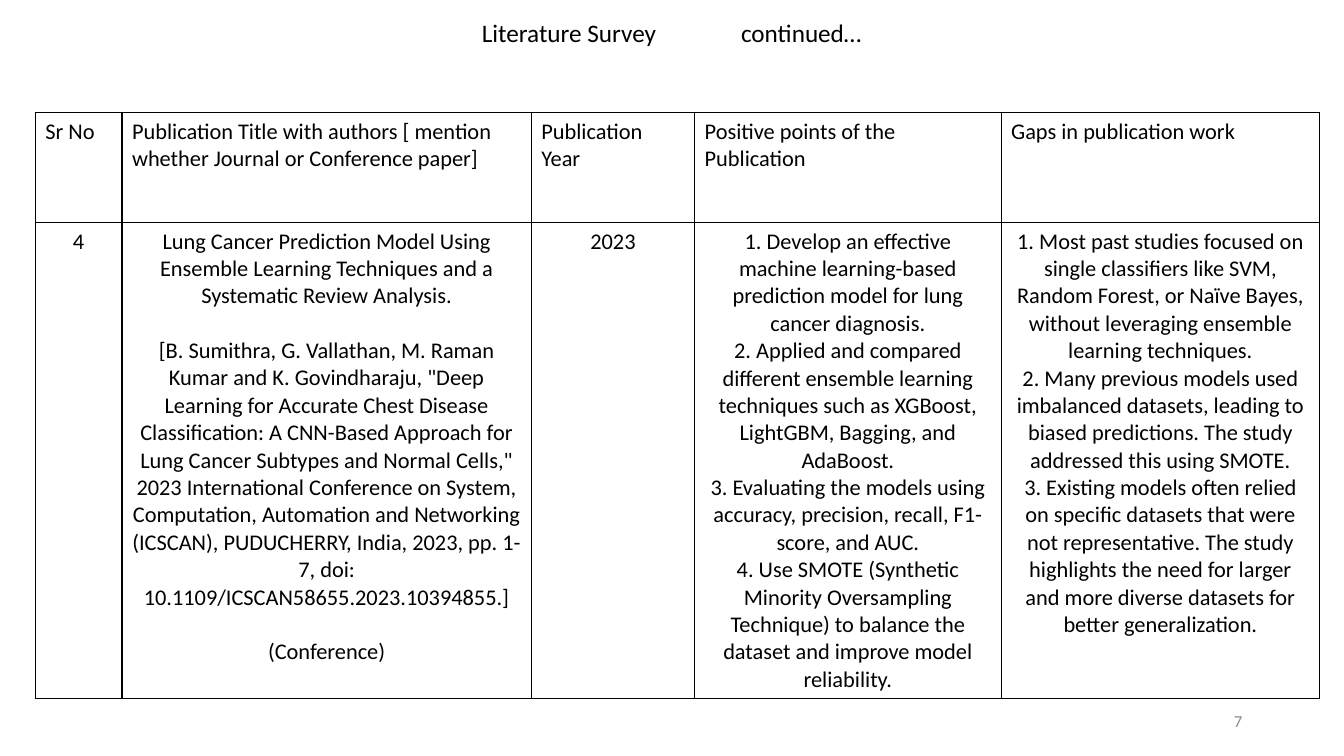
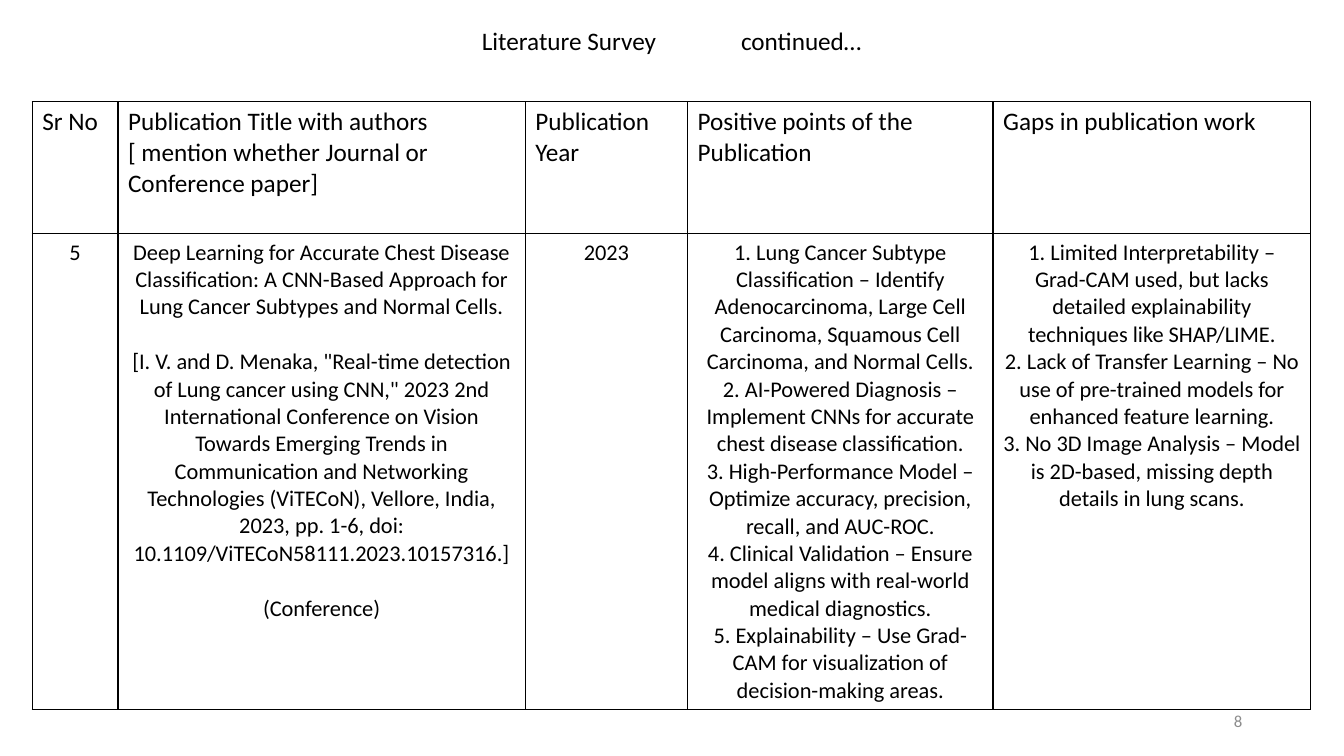
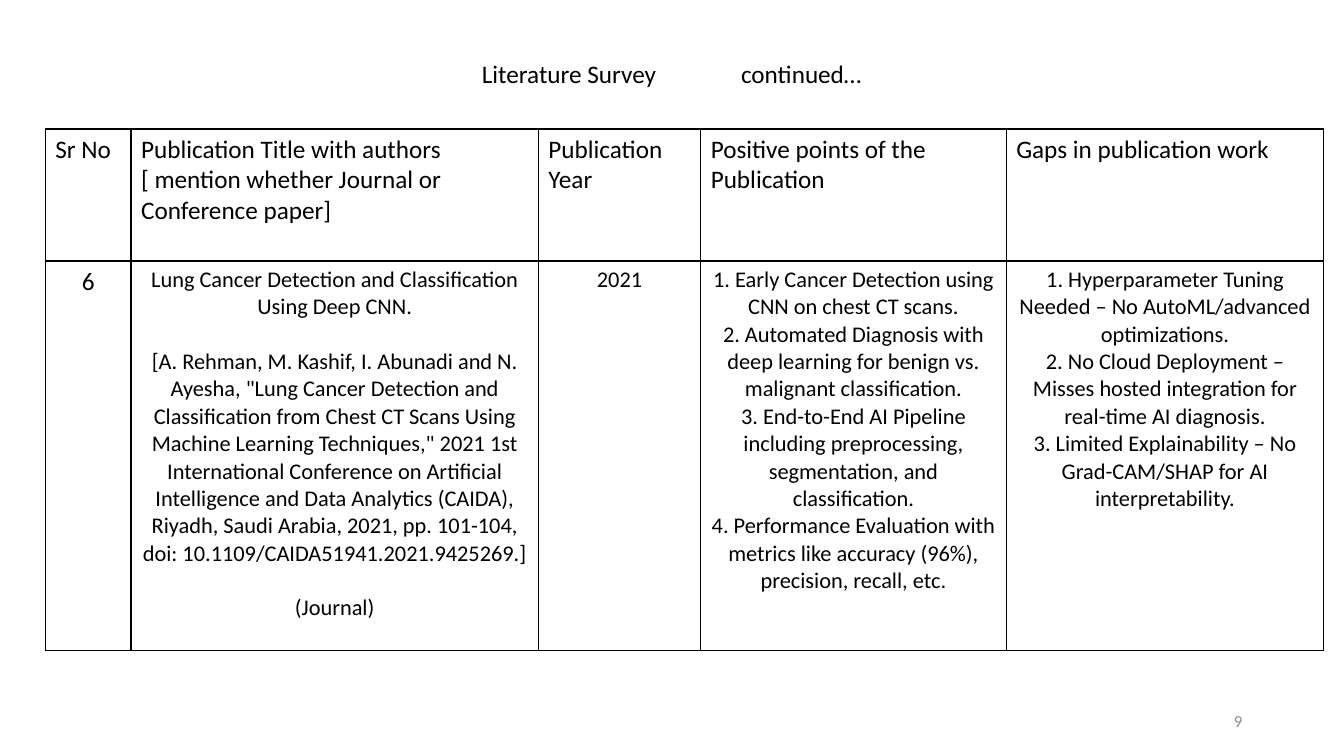
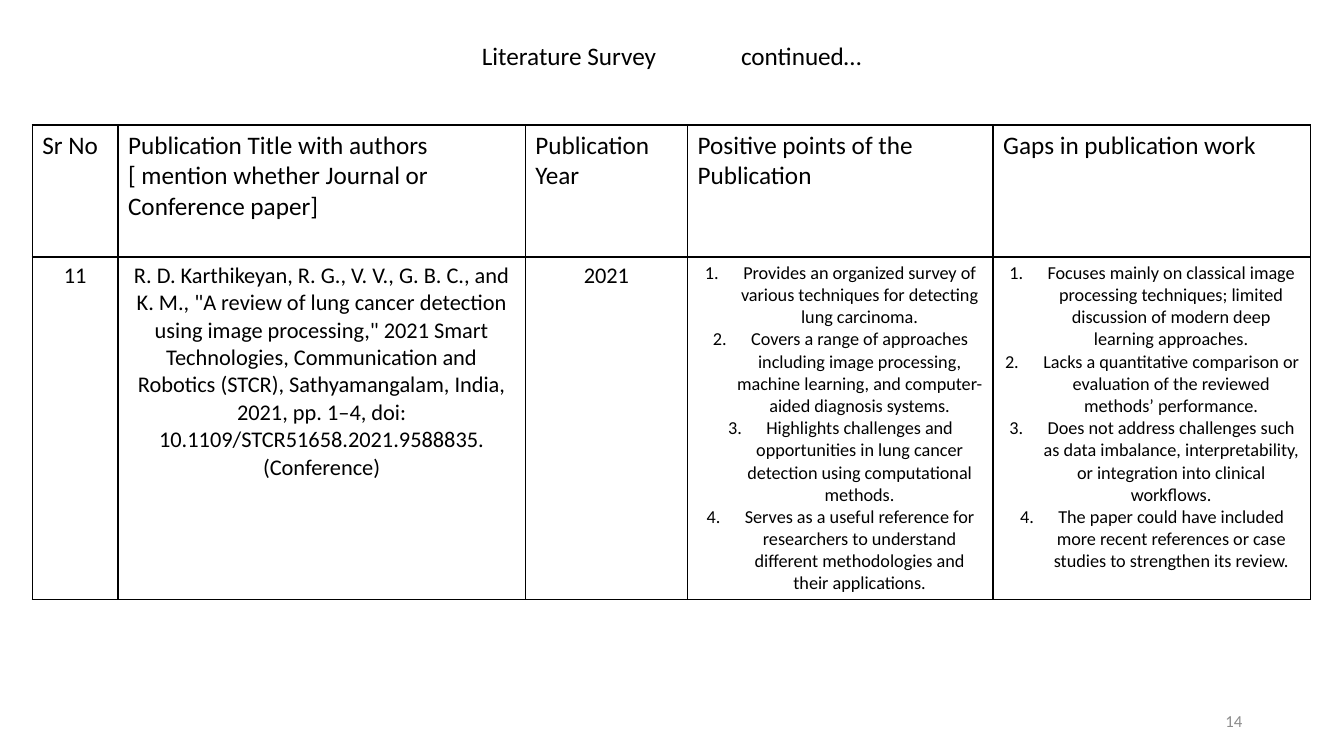
import dataclasses

import lxml.etree
import pptx
import pptx.dml.color
import pptx.enum.text
import pptx.oxml.ns
import pptx.presentation
import pptx.slide
import pptx.table
import pptx.text.text
import pptx.util

EMU_PER_PX = 9144
ALIGN = pptx.enum.text.PP_ALIGN
ANCHOR = pptx.enum.text.MSO_ANCHOR


@dataclasses.dataclass(frozen=True)
class Theme:
    font: str = "Calibri"
    ink: str = "000000"
    muted: str = "8C8C8C"
    title_size: int = 18
    body_size: int = 16
    list_size: int = 13
    number_size: int = 12
    blank_line: float = 19.5
    title_spacing: float = 0.9
    border_width: int = 1


@dataclasses.dataclass(frozen=True)
class Frame:
    left: int
    top: int
    width: int
    height: int


@dataclasses.dataclass(frozen=True)
class Layout:
    title_top: int
    table_left: int
    table_top: int
    rows: tuple[int, int]
    columns: tuple[int, ...] = (85, 404, 161, 303, 315)
    header_size: int = 18
    serial_size: int = 16
    list_size: int = 16
    hanging_numbers: bool = False
    gap_in_citation: bool = True


@dataclasses.dataclass(frozen=True)
class Survey:
    page_number: int
    serial: int
    citation: tuple[str, ...]
    year: int
    positives: tuple[str, ...]
    gaps: tuple[str, ...]
    layout: Layout


THEME = Theme()
HEADERS = (
    "Sr No",
    "Publication Title with authors [ mention whether Journal or Conference paper]",
    "Publication Year",
    "Positive points of the Publication",
    "Gaps in publication work",
)
SURVEYS = (
    Survey(
        page_number=7,
        serial=4,
        citation=(
            "Lung Cancer Prediction Model Using Ensemble Learning Techniques and a "
            "Systematic Review Analysis.",
            '[B. Sumithra, G. Vallathan, M. Raman Kumar and K. Govindharaju, "Deep Learning '
            "for Accurate Chest Disease Classification: A CNN-Based Approach for Lung Cancer "
            'Subtypes and Normal Cells," 2023 International Conference on System, '
            "Computation, Automation and Networking (ICSCAN), PUDUCHERRY, India, 2023, "
            "pp. 1-7, doi: 10.1109/ICSCAN58655.2023.10394855.]",
            "(Conference)",
        ),
        year=2023,
        positives=(
            "Develop an effective machine learning-based prediction model for lung cancer "
            "diagnosis.",
            "Applied and compared different ensemble learning techniques such as XGBoost, "
            "LightGBM, Bagging, and AdaBoost.",
            "Evaluating the models using accuracy, precision, recall, F1-score, and AUC.",
            "Use SMOTE (Synthetic Minority Oversampling Technique) to balance the dataset "
            "and improve model reliability.",
        ),
        gaps=(
            "Most past studies focused on single classifiers like SVM, Random Forest, or "
            "Naïve Bayes, without leveraging ensemble learning techniques.",
            "Many previous models used imbalanced datasets, leading to biased predictions. "
            "The study addressed this using SMOTE.",
            "Existing models often relied on specific datasets that were not "
            "representative. The study highlights the need for larger and more diverse "
            "datasets for better generalization.",
        ),
        layout=Layout(
            title_top=11,
            table_left=35,
            table_top=112,
            rows=(109, 472),
            columns=(86, 406, 162, 304, 316),
            header_size=16,
        ),
    ),
    Survey(
        page_number=8,
        serial=5,
        citation=(
            "Deep Learning for Accurate Chest Disease Classification: A CNN-Based Approach "
            "for Lung Cancer Subtypes and Normal Cells.",
            '[I. V. and D. Menaka, "Real-time detection of Lung cancer using CNN," 2023 2nd '
            "International Conference on Vision Towards Emerging Trends in Communication and "
            "Networking Technologies (ViTECoN), Vellore, India, 2023, pp. 1-6, doi: "
            "10.1109/ViTECoN58111.2023.10157316.]",
            "(Conference)",
        ),
        year=2023,
        positives=(
            "Lung Cancer Subtype Classification – Identify Adenocarcinoma, Large Cell "
            "Carcinoma, Squamous Cell Carcinoma, and Normal Cells.",
            "AI-Powered Diagnosis – Implement CNNs for accurate chest disease "
            "classification.",
            "High-Performance Model – Optimize accuracy, precision, recall, and AUC-ROC.",
            "Clinical Validation – Ensure model aligns with real-world medical diagnostics.",
            "Explainability – Use Grad-CAM for visualization of decision-making areas.",
        ),
        gaps=(
            "Limited Interpretability – Grad-CAM used, but lacks detailed explainability "
            "techniques like SHAP/LIME.",
            "Lack of Transfer Learning – No use of pre-trained models for enhanced feature "
            "learning.",
            "No 3D Image Analysis – Model is 2D-based, missing depth details in lung scans.",
        ),
        layout=Layout(title_top=19, table_left=32, table_top=101, rows=(131, 472)),
    ),
    Survey(
        page_number=9,
        serial=6,
        citation=(
            "Lung Cancer Detection and Classification Using Deep CNN.",
            '[A. Rehman, M. Kashif, I. Abunadi and N. Ayesha, "Lung Cancer Detection and '
            "Classification from Chest CT Scans Using Machine Learning Techniques,\" 2021 "
            "1st International Conference on Artificial Intelligence and Data Analytics "
            "(CAIDA), Riyadh, Saudi Arabia, 2021, pp. 101-104, doi: "
            "10.1109/CAIDA51941.2021.9425269.]",
            "(Journal)",
        ),
        year=2021,
        positives=(
            "Early Cancer Detection using CNN on chest CT scans.",
            "Automated Diagnosis with deep learning for benign vs. malignant "
            "classification.",
            "End-to-End AI Pipeline including preprocessing, segmentation, and "
            "classification.",
            "Performance Evaluation with metrics like accuracy (96%), precision, recall, "
            "etc.",
        ),
        gaps=(
            "Hyperparameter Tuning Needed – No AutoML/advanced optimizations.",
            "No Cloud Deployment – Misses hosted integration for real-time AI diagnosis.",
            "Limited Explainability – No Grad-CAM/SHAP for AI interpretability.",
        ),
        layout=Layout(
            title_top=51, table_left=45, table_top=128, rows=(131, 386), serial_size=18
        ),
    ),
    Survey(
        page_number=14,
        serial=11,
        citation=(
            'R. D. Karthikeyan, R. G., V. V., G. B. C., and K. M., "A review of lung cancer '
            'detection using image processing," 2021 Smart Technologies, Communication and '
            "Robotics (STCR), Sathyamangalam, India, 2021, pp. 1–4, doi: "
            "10.1109/STCR51658.2021.9588835.",
            "(Conference)",
        ),
        year=2021,
        positives=(
            "Provides an organized survey of various techniques for detecting lung "
            "carcinoma.",
            "Covers a range of approaches including image processing, machine learning, and "
            "computer-aided diagnosis systems.",
            "Highlights challenges and opportunities in lung cancer detection using "
            "computational methods.",
            "Serves as a useful reference for researchers to understand different "
            "methodologies and their applications.",
        ),
        gaps=(
            "Focuses mainly on classical image processing techniques; limited discussion of "
            "modern deep learning approaches.",
            "Lacks a quantitative comparison or evaluation of the reviewed methods’ "
            "performance.",
            "Does not address challenges such as data imbalance, interpretability, or "
            "integration into clinical workflows.",
            "The paper could have included more recent references or case studies to "
            "strengthen its review.",
        ),
        layout=Layout(
            title_top=33,
            table_left=32,
            table_top=124,
            rows=(131, 340),
            list_size=THEME.list_size,
            hanging_numbers=True,
            gap_in_citation=False,
        ),
    ),
)


def px(length: int) -> pptx.util.Emu:
    return pptx.util.Emu(length * EMU_PER_PX)


def add_child(parent: lxml.etree._Element, tag: str, **attributes: str) -> lxml.etree._Element:
    return lxml.etree.SubElement(parent, pptx.oxml.ns.qn(tag), attributes)


def add_span(
    para: pptx.text.text._Paragraph, text: str, size: int, colour: str = THEME.ink
) -> None:
    span = para.add_run()
    span.text = text
    span.font.name = THEME.font
    span.font.size = pptx.util.Pt(size)
    span.font.color.rgb = pptx.dml.color.RGBColor.from_string(colour)


def add_text_box(page: pptx.slide.Slide, frame: Frame) -> pptx.text.text.TextFrame:
    box = page.shapes.add_textbox(
        px(frame.left), px(frame.top), px(frame.width), px(frame.height)
    )
    box.text_frame.word_wrap = True
    return box.text_frame


def add_title(page: pptx.slide.Slide, top: int) -> None:
    text_frame = add_text_box(page, Frame(223, top, 887, 47))
    text_frame.margin_left = px(255)
    text_frame.margin_top = text_frame.margin_bottom = px(10)
    para = text_frame.paragraphs[0]
    tabs = add_child(para._p.get_or_add_pPr(), "a:tabLst")
    add_child(tabs, "a:tab", pos=str(px(257)), algn="l")
    para.line_spacing = THEME.title_spacing
    add_span(para, "Literature Survey\tcontinued…", THEME.title_size)


def add_page_number(page: pptx.slide.Slide, number: int) -> None:
    text_frame = add_text_box(page, Frame(942, 695, 300, 40))
    text_frame.vertical_anchor = ANCHOR.MIDDLE
    para = text_frame.paragraphs[0]
    para.alignment = ALIGN.RIGHT
    add_span(para, str(number), THEME.number_size, THEME.muted)


def style_cell(cell: pptx.table._Cell) -> None:
    cell.margin_left = cell.margin_right = px(10)
    cell.margin_top = cell.margin_bottom = px(5)
    properties = cell._tc.get_or_add_tcPr()
    for side in ("L", "R", "T", "B"):
        line = add_child(
            properties, f"a:ln{side}", w=str(pptx.util.Pt(THEME.border_width))
        )
        fill = add_child(line, "a:solidFill")
        add_child(fill, "a:srgbClr", val=THEME.ink)
    cell.fill.background()


def fill_cell(
    cell: pptx.table._Cell,
    texts: tuple[str, ...],
    size: int,
    alignment: pptx.enum.text.PP_ALIGN = ALIGN.CENTER,
    blank_line: bool = False,
    hanging_numbers: bool = False,
) -> None:
    style_cell(cell)
    for index, text in enumerate(texts):
        para = cell.text_frame.add_paragraph() if index else cell.text_frame.paragraphs[0]
        para.alignment = alignment
        if hanging_numbers:
            properties = para._p.get_or_add_pPr()
            properties.set("marL", str(px(38)))
            properties.set("indent", str(-px(38)))
            add_child(properties, "a:buAutoNum", type="arabicPeriod")
        if blank_line and index:
            para.space_before = pptx.util.Pt(THEME.blank_line)
        add_span(para, text, size)


def fill_points(cell: pptx.table._Cell, points: tuple[str, ...], layout: Layout) -> None:
    if not layout.hanging_numbers:
        points = tuple(f"{number}. {point}" for number, point in enumerate(points, 1))
    fill_cell(cell, points, layout.list_size, hanging_numbers=layout.hanging_numbers)


def add_survey_table(page: pptx.slide.Slide, survey: Survey) -> None:
    layout = survey.layout
    table = page.shapes.add_table(
        len(layout.rows),
        len(layout.columns),
        px(layout.table_left),
        px(layout.table_top),
        px(sum(layout.columns)),
        px(sum(layout.rows)),
    ).table
    table.first_row = False
    table.horz_banding = False
    for column, width in zip(table.columns, layout.columns):
        column.width = px(width)
    for row, height in zip(table.rows, layout.rows):
        row.height = px(height)
    for index, header in enumerate(HEADERS):
        fill_cell(table.cell(0, index), (header,), layout.header_size, ALIGN.LEFT)
    serial, citation, year, positives, gaps = table.rows[1].cells
    fill_cell(serial, (str(survey.serial),), layout.serial_size)
    fill_cell(
        citation, survey.citation, THEME.body_size, blank_line=layout.gap_in_citation
    )
    fill_cell(year, (str(survey.year),), THEME.body_size)
    fill_points(positives, survey.positives, layout)
    fill_points(gaps, survey.gaps, layout)


def add_survey_page(deck: pptx.presentation.Presentation, survey: Survey) -> None:
    page = deck.slides.add_slide(deck.slide_layouts[6])
    add_page_number(page, survey.page_number)
    add_survey_table(page, survey)
    add_title(page, survey.layout.title_top)


def main() -> None:
    deck = pptx.Presentation()
    deck.slide_width = px(1333)
    deck.slide_height = px(750)
    for survey in SURVEYS:
        add_survey_page(deck, survey)
    deck.save("out.pptx")


if __name__ == "__main__":
    main()
